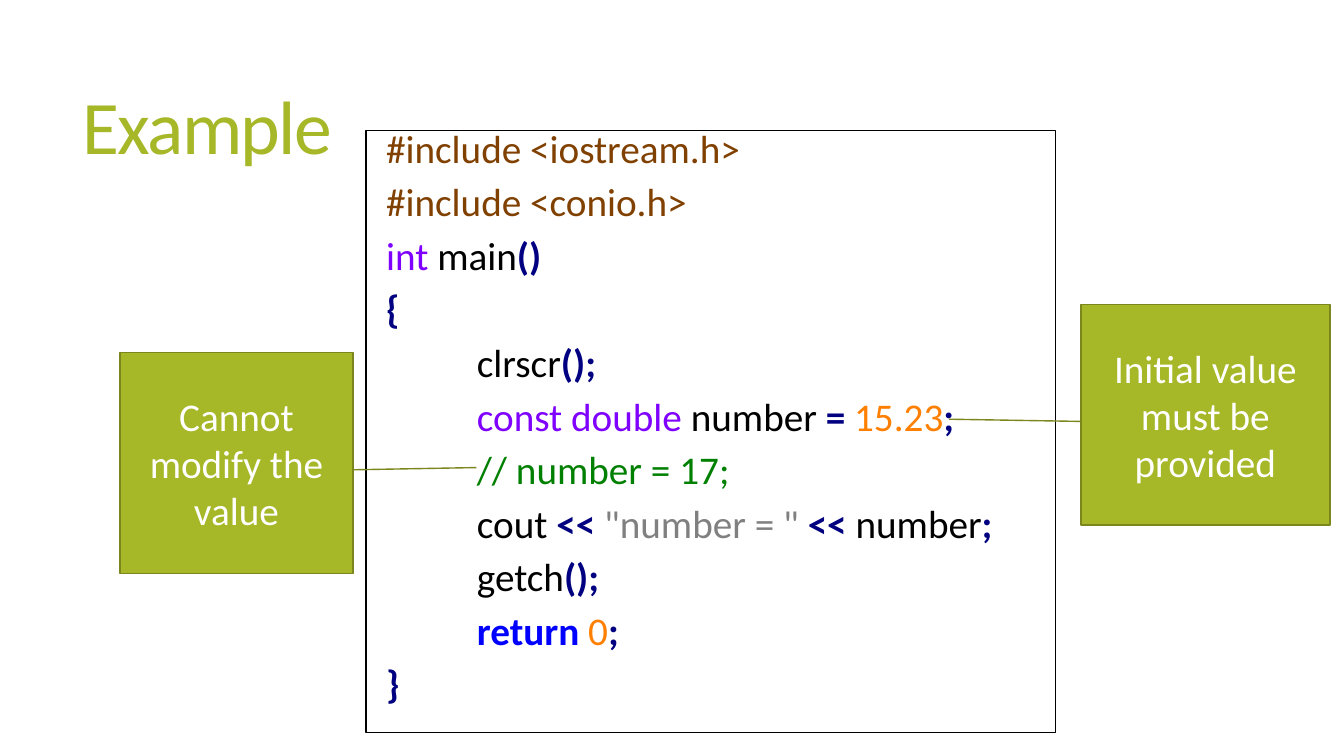
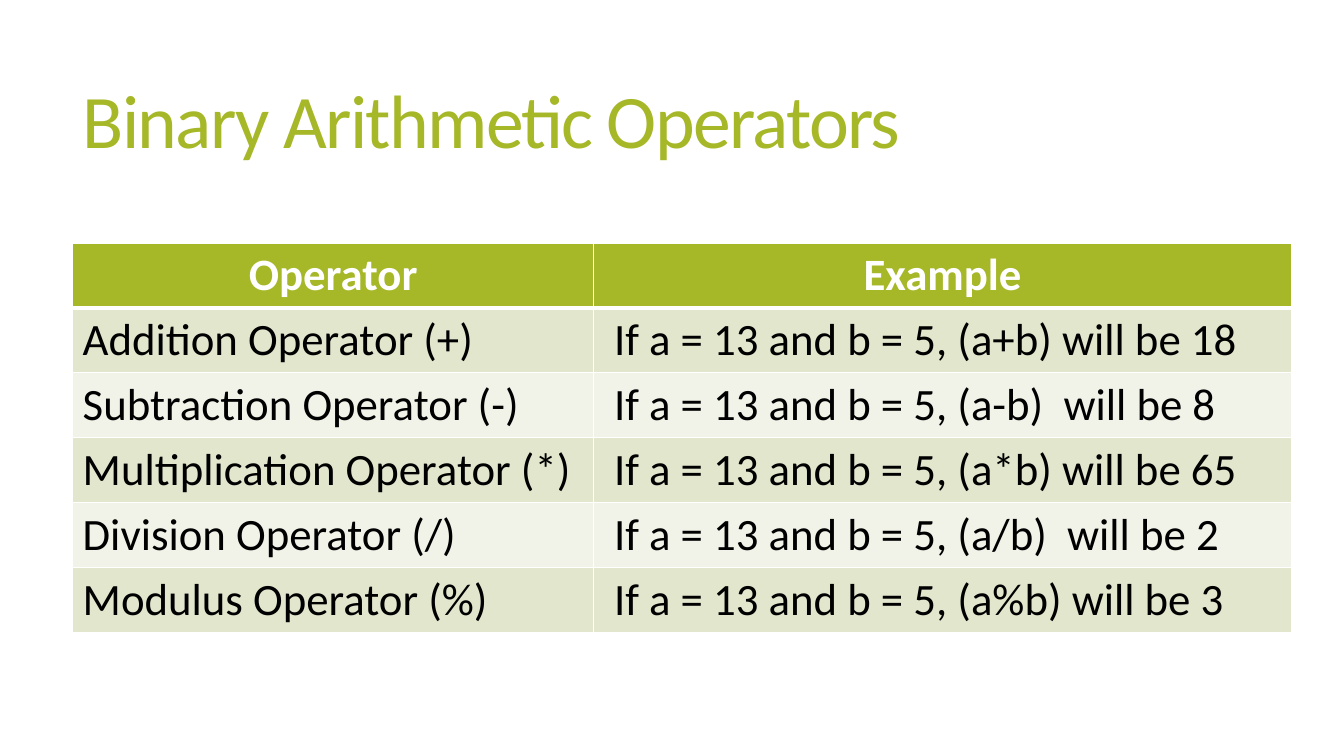
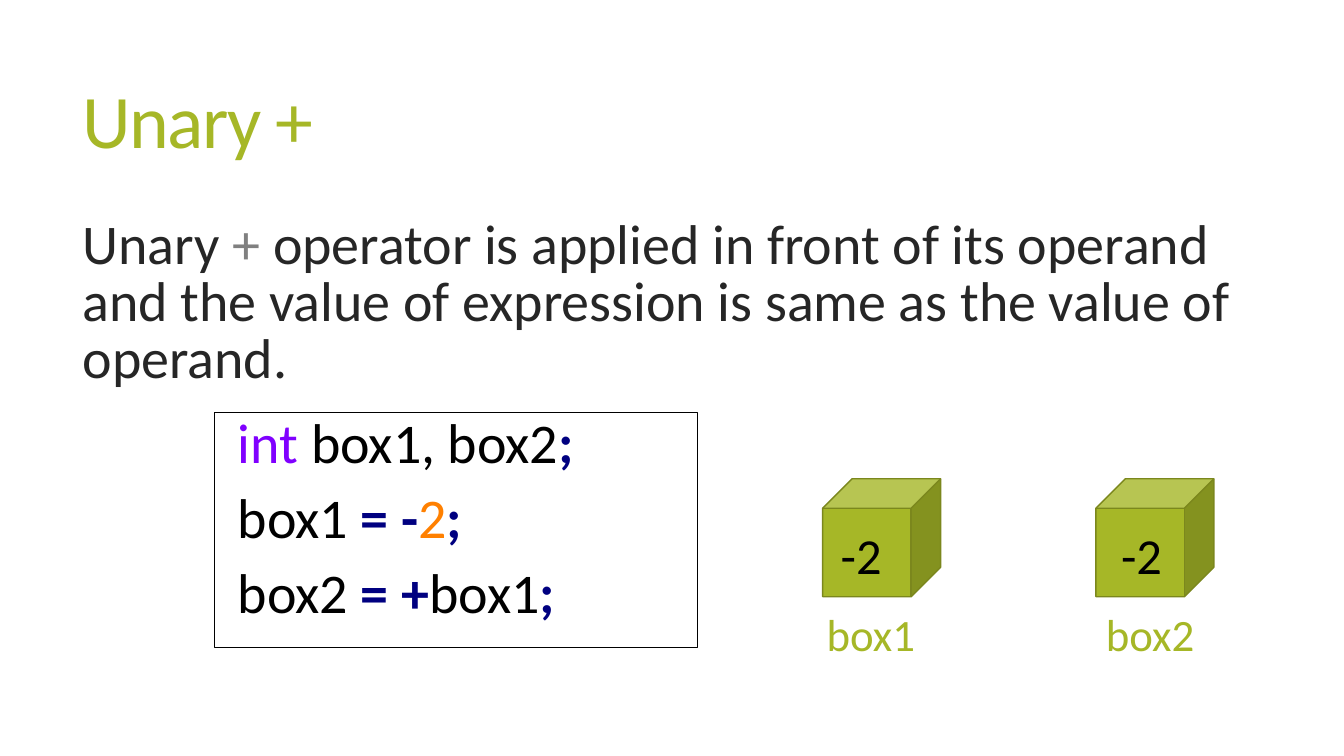
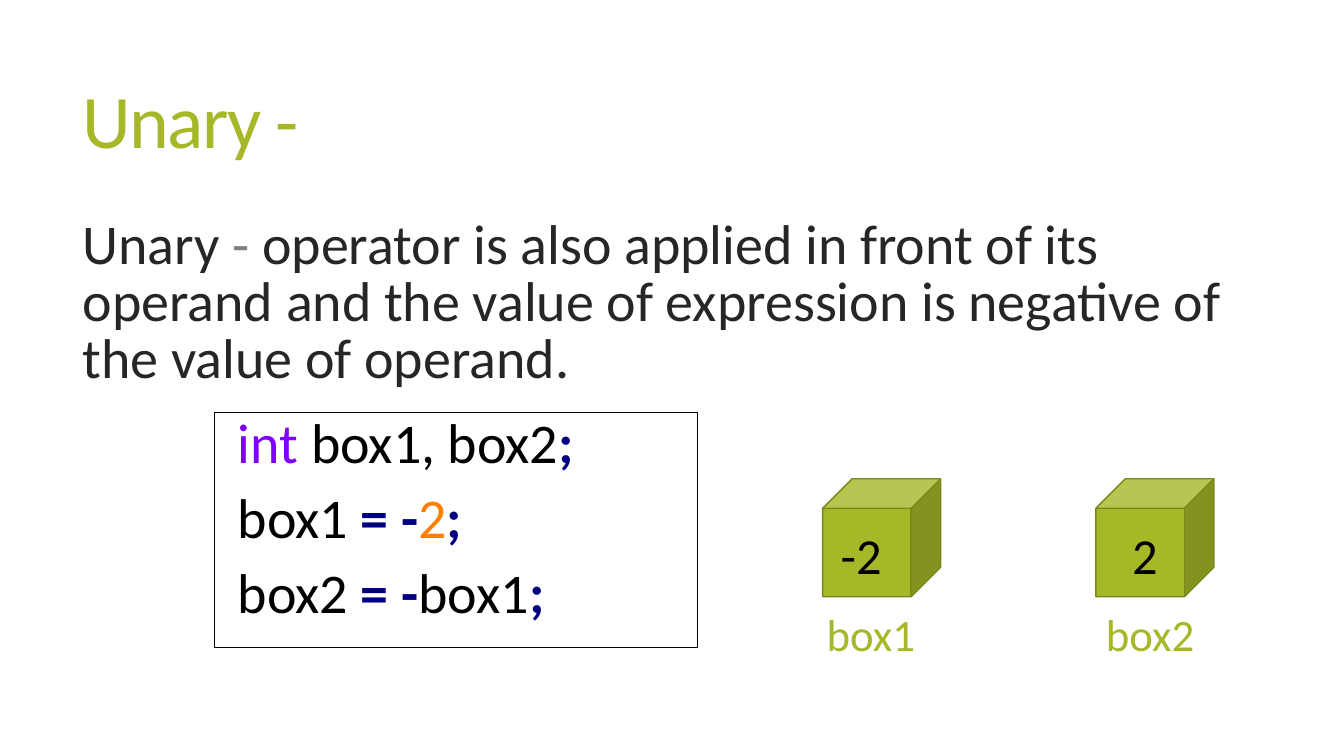
"""Build four slides on constants and arithmetic operators in C++."""
from dataclasses import dataclass, field

from lxml import etree
from pptx import Presentation
from pptx import util as u
from pptx.dml.color import RGBColor
from pptx.enum import shapes, text
from pptx.oxml.ns import qn


@dataclass(frozen=True)
class Theme:
    font: str = "Calibri"
    accent: str = "A6B727"
    accent_line: str = "7B871D"
    white: str = "FFFFFF"
    black: str = "000000"
    bands: tuple = ("E1E6CD", "F1F3E8")
    title_size: int = 54
    body_size: int = 40
    value_size: int = 36
    label_size: int = 32
    code_size: int = 28
    styles: dict = field(default_factory=lambda: {
        "title": ("A6B727", False),
        "body": ("262626", False),
        "light": ("FFFFFF", False),
        "header": ("FFFFFF", True),
        "plain": ("000000", False),
        "include": ("804000", False),
        "type": ("8000FF", False),
        "symbol": ("000080", True),
        "number": ("FF8000", False),
        "comment": ("008000", False),
        "string": ("808080", False),
        "keyword": ("0000FF", True),
    })


theme = Theme()
LEFT, CENTER = text.PP_ALIGN.LEFT, text.PP_ALIGN.CENTER


def write(frame, paragraphs, size, style="plain", align=LEFT, spacing=1.0,
          before=0, indent=0, nested=(), tracking=0, anchor=text.MSO_ANCHOR.TOP):
    """Fill a text frame with paragraphs, each a string or a list of (text, style) runs."""
    frame.word_wrap = True
    frame.auto_size = text.MSO_AUTO_SIZE.NONE
    frame.vertical_anchor = anchor
    for index, content in enumerate(paragraphs):
        paragraph = frame.add_paragraph() if index else frame.paragraphs[0]
        paragraph.alignment = align
        paragraph.line_spacing = spacing
        paragraph.space_before = u.Pt(before)
        properties = paragraph._p.get_or_add_pPr()
        properties.set("marL", str(u.Inches(1 if index in nested else indent)))
        properties.set("indent", "0")
        etree.SubElement(properties, qn("a:buNone"))
        runs = [(content, style)] if isinstance(content, str) else content
        for words, run_style in runs:
            run = paragraph.add_run()
            run.text = words
            color, run.font.bold = theme.styles[run_style]
            run.font.color.rgb = RGBColor.from_string(color)
            run.font.name = theme.font
            run.font.size = u.Pt(size)
            if tracking:
                run.font._element.set("spc", str(tracking))


def dress(shape, box=None, fill=None, line=None, width=1):
    """Place a shape and give it its fill and outline."""
    if box:
        shape.left, shape.top, shape.width, shape.height = map(u.Inches, box)
    if fill:
        shape.shadow.inherit = False
        shape.fill.solid()
        shape.fill.fore_color.rgb = RGBColor.from_string(fill)
    if line:
        shape.line.color.rgb = RGBColor.from_string(line)
        shape.line.width = u.Pt(width)


presentation = Presentation()
presentation.slide_width = u.Inches(13.33)
presentation.slide_height = u.Inches(7.5)

TITLE_BOX = (0.72, 0.85, 11.78, 0.85)
titles = [
    ("Example", 1, (0.72, 0.4, 11.78, 1.81), 0.85),
    ("Binary Arithmetic Operators", 5, TITLE_BOX, 0.75),
    ("Unary +", 3, TITLE_BOX, 0.75),
    ("Unary -", 3, TITLE_BOX, 0.75),
]
slides = []
for words, layout, box, spacing in titles:
    slide = presentation.slides.add_slide(presentation.slide_layouts[layout])
    dress(slide.shapes.title, box)
    write(slide.shapes.title.text_frame, [words], theme.title_size, "title",
          spacing=spacing, tracking=-120, anchor=text.MSO_ANCHOR.MIDDLE)
    slides.append(slide)
example_slide, operators_slide, *unary_slides = slides

program = [
    [("#include <iostream.h>", "include")],
    [("#include <conio.h>", "include")],
    [("int ", "type"), ("main", "plain"), ("()", "symbol")],
    [("{", "symbol")],
    [("clrscr", "plain"), ("();", "symbol")],
    [("const double", "type"), (" number ", "plain"),
     ("= ", "symbol"), ("15.23", "number"), (";", "symbol")],
    [("// number = 17;", "comment")],
    [("cout ", "plain"), ("<< ", "symbol"), ('"number = " ', "string"),
     ("<<", "symbol"), (" number", "plain"), (";", "symbol")],
    [("getch", "plain"), ("();", "symbol")],
    [("return ", "keyword"), ("0", "number"), (";", "symbol")],
    [("}", "symbol")],
]
code = example_slide.placeholders[1]
dress(code, (3.63, 1.29, 6.84, 5.98), line=theme.black, width=0.75)
write(code.text_frame, program, theme.code_size, spacing=0.75, before=13, indent=0.1,
      nested=range(4, len(program) - 1))

callouts = [
    ("Initial value must be provided", (10.72, 3.02, 2.47, 2.19), (0.53, 0, 0.52, -0.53)),
    ("Cannot modify the value", (1.19, 3.5, 2.31, 2.19), (0.53, 1, 0.52, 1.53)),
]
for words, box, pointer in callouts:
    callout = example_slide.shapes.add_shape(
        shapes.MSO_SHAPE.LINE_CALLOUT_1, *map(u.Inches, box))
    dress(callout, fill=theme.accent, line=theme.accent_line)
    for index, value in enumerate(pointer):
        callout.adjustments[index] = value
    write(callout.text_frame, [words], theme.code_size, "light", align=CENTER,
          anchor=text.MSO_ANCHOR.MIDDLE)

rows = [
    ("Operator", "Example"),
    ("Addition Operator (+)", "If a = 13 and b = 5, (a+b) will be 18"),
    ("Subtraction Operator (-)", "If a = 13 and b = 5, (a-b)  will be 8"),
    ("Multiplication Operator (*)", "If a = 13 and b = 5, (a*b) will be 65"),
    ("Division Operator (/)", "If a = 13 and b = 5, (a/b)  will be 2"),
    ("Modulus Operator (%)", "If a = 13 and b = 5, (a%b) will be 3"),
]
column_widths = (5.17, 6.92)
row_height = 0.64
table = operators_slide.shapes.add_table(
    len(rows), len(column_widths), u.Inches(0.72), u.Inches(2.41),
    u.Inches(sum(column_widths)), u.Inches(row_height * len(rows))).table
for column, width in zip(table.columns, column_widths):
    column.width = u.Inches(width)
for row_index, row in enumerate(rows):
    is_header = row_index == 0
    for column_index, words in enumerate(row):
        cell = table.cell(row_index, column_index)
        cell_properties = cell._tc.get_or_add_tcPr()
        edges = {"L": 1, "R": 1, "T": 3 if row_index == 1 else 1, "B": 3 if is_header else 1}
        for edge, points in edges.items():
            border = etree.SubElement(cell_properties, qn(f"a:ln{edge}"), w=str(u.Pt(points)))
            border_fill = etree.SubElement(border, qn("a:solidFill"))
            etree.SubElement(border_fill, qn("a:srgbClr"), val=theme.white)
        cell.fill.solid()
        cell.fill.fore_color.rgb = RGBColor.from_string(
            theme.accent if is_header else theme.bands[(row_index - 1) % 2])
        write(cell.text_frame, [words], theme.label_size,
              "header" if is_header else "plain",
              align=CENTER if is_header else LEFT,
              indent=0.1 if column_index and not is_header else 0)

unary_examples = [
    ("+", " operator is applied in front of its operand and the value of "
     "expression is same as the value of operand.", "-2", 0),
    ("-", " operator is also applied in front of its operand and the value of "
     "expression is negative of the value of operand.", "2", 0.11),
]
for slide, (sign, explanation, result, result_indent) in zip(unary_slides, unary_examples):
    body, code = slide.placeholders[1], slide.placeholders[2]
    dress(body, (0.72, 2.12, 11.91, 0.52))
    write(body.text_frame, [[("Unary ", "body"), (sign, "string"), (explanation, "body")]],
          theme.body_size, spacing=0.85, before=13)
    dress(code, (2.13, 4.09, 4.79, 2.33), line=theme.black, width=0.75)
    write(code.text_frame, [
        [("int ", "type"), ("box1, box2", "plain"), (";", "symbol")],
        [("box1 ", "plain"), ("= -", "symbol"), ("2", "number"), (";", "symbol")],
        [("box2 ", "plain"), (f"= {sign}", "symbol"), ("box1", "plain"), (";", "symbol")],
    ], theme.body_size, spacing=0.85, before=13, indent=0.13)

    cubes = [
        ("box1", "-2", 8.16, 8.1, 8.24, 0),
        ("box2", result, 10.87, 10.87, 11.02, result_indent),
    ]
    for name, value, cube_left, name_left, value_left, value_indent in cubes:
        cube = slide.shapes.add_shape(
            shapes.MSO_SHAPE.CUBE, *map(u.Inches, (cube_left, 4.75, 1.17, 1.17)))
        dress(cube, fill=theme.accent, line=theme.accent_line)
        name_box = slide.shapes.add_textbox(*map(u.Inches, (name_left, 5.97, 1.43, 0.64)))
        write(name_box.text_frame, [name], theme.label_size, "title")
        value_box = slide.shapes.add_textbox(*map(u.Inches, (value_left, 5.15, 0.75, 0.71)))
        write(value_box.text_frame, [value], theme.value_size, indent=value_indent)

presentation.save("out.pptx")
